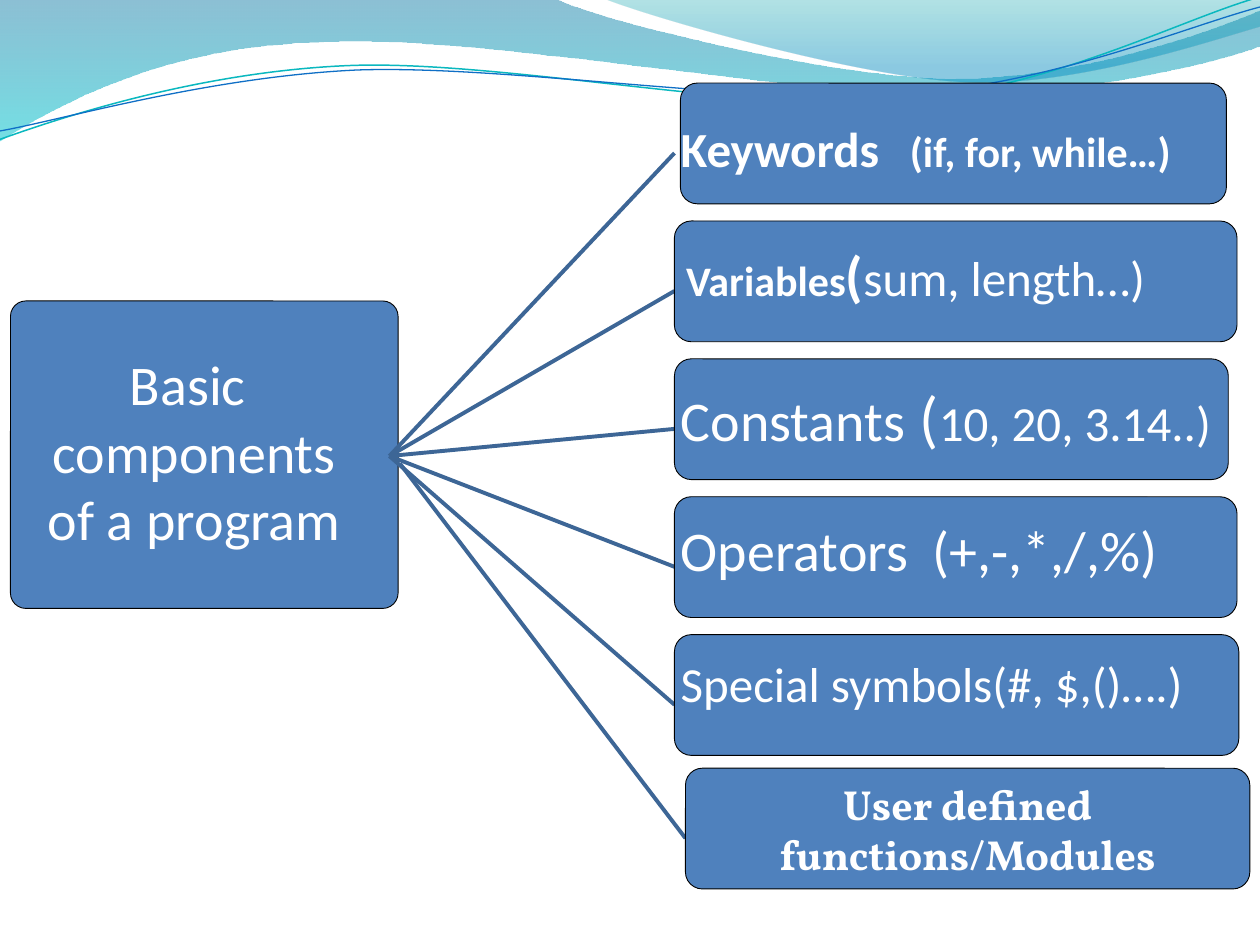
from lxml.etree import SubElement
from pptx import Presentation
from pptx.dml.color import RGBColor
from pptx.enum.shapes import MSO_CONNECTOR, MSO_SHAPE
from pptx.enum.text import MSO_ANCHOR, PP_ALIGN
from pptx.oxml.ns import qn
from pptx.util import Pt

WHITE = RGBColor(0xFF, 0xFF, 0xFF)
BLACK = RGBColor(0, 0, 0)
BLUE = RGBColor(0x4F, 0x81, 0xBD)
NAVY = RGBColor(0x3D, 0x66, 0x96)
SEA = RGBColor(0x00, 0x74, 0xA1)
AQUA = RGBColor(0x00, 0xC6, 0xCF)
TEAL = RGBColor(0x00, 0xA1, 0xA9)
SKY = RGBColor(0x00, 0x8B, 0xBF)
CYAN = RGBColor(0x0A, 0xB8, 0xBF)
ROYAL = RGBColor(0x0F, 0x6F, 0xC6)


class Board:
    font = "Calibri"

    def __init__(self, deck):
        self.slide = deck.slides.add_slide(deck.slide_layouts[6])
        self.shapes = self.slide.shapes

    def curve(self, start, parts, close=False):
        """Each part is (x, y) for a line or six numbers for a Bezier curve."""
        spots = [start] + [part[-2:] for part in parts]
        left = min(x for x, y in spots)
        top = min(y for x, y in spots)
        form = self.shapes.build_freeform(
            round(start[0] * 10), round(start[1] * 10), scale=Pt(1) / 10)
        form.add_line_segments(
            [(round(x * 10), round(y * 10)) for x, y in spots[1:]], close=close)
        shape = form.convert_to_shape()
        shape.shadow.inherit = False
        for node, part in zip(list(shape._element.iter(qn("a:lnTo"))), parts):
            if len(part) == 6:
                node.tag = qn("a:cubicBezTo")
                for old in list(node):
                    node.remove(old)
                for x, y in zip(part[::2], part[1::2]):
                    SubElement(node, qn("a:pt"), x=str(round((x - left) * 10)),
                               y=str(round((y - top) * 10)))
        return shape

    def wave(self, start, parts, stops):
        shape = self.curve(start, parts, close=True)
        shape.line.fill.background()
        fill = shape.fill
        fill.gradient()
        fill.gradient_angle = 270
        for stop, (place, color, alpha) in zip(fill.gradient_stops, stops):
            stop.position = place
            stop.color.rgb = color
        grad = shape._element.spPr.find(qn("a:gradFill"))
        for node, stop in zip(grad.iter(qn("a:srgbClr")), stops):
            SubElement(node, qn("a:alpha"), val=str(stop[2] * 1000))

    def stroke(self, start, parts, color, width):
        shape = self.curve(start, parts)
        shape.fill.background()
        shape.line.color.rgb = color
        shape.line.width = Pt(width)

    def box(self, left, top, width, height, bend):
        shape = self.shapes.add_shape(MSO_SHAPE.ROUNDED_RECTANGLE, Pt(left),
                                      Pt(top), Pt(width), Pt(height))
        shape.adjustments[0] = bend
        shape.shadow.inherit = False
        shape.fill.solid()
        shape.fill.fore_color.rgb = BLUE
        shape.line.color.rgb = BLACK
        shape.line.width = Pt(0.5)
        return shape

    def link(self, x1, y1, x2, y2):
        line = self.shapes.add_connector(MSO_CONNECTOR.STRAIGHT, Pt(x1), Pt(y1),
                                         Pt(x2), Pt(y2))
        line.line.color.rgb = NAVY
        line.line.width = Pt(2.25)
        SubElement(line._element.spPr, qn("a:effectLst"))

    def text(self, frame, lines, align, font=None):
        """Each line is a list of (text, size, bold) runs."""
        for i, runs in enumerate(lines):
            para = frame.paragraphs[0] if i == 0 else frame.add_paragraph()
            para.alignment = align
            for words, size, bold in runs:
                run = para.add_run()
                run.text = words
                run.font.name = font or self.font
                run.font.size = Pt(size)
                run.font.bold = bold
                run.font.color.rgb = WHITE

    def label(self, left, top, width, height, lines, align=PP_ALIGN.LEFT, tab=None):
        frame = self.shapes.add_textbox(Pt(left), Pt(top), Pt(width),
                                        Pt(height)).text_frame
        frame.margin_left = frame.margin_right = 0
        frame.margin_top = frame.margin_bottom = 0
        frame.word_wrap = False
        self.text(frame, lines, align)
        if tab:
            props = frame.paragraphs[0]._p.get_or_add_pPr()
            tabs = SubElement(props, qn("a:tabLst"))
            SubElement(tabs, qn("a:tab"), pos=str(Pt(tab)), algn="l")


deck = Presentation()
deck.slide_width, deck.slide_height = Pt(720), Pt(540)
board = Board(deck)

# Waves along the top edge
board.wave((0, 0), [
    (317, -0.7), (343, 12, 478, 45, 546, 45), (614, 45, 690, 19, 720, 6),
    (721, 26), (708, 32, 626, 55, 537, 54), (447, 54, 275, 20, 185, 24),
    (93, 26, 33, 60, -1, 81)], [(0, SEA, 45), (1, AQUA, 55)])
board.wave((345, -1), [
    (366, 8, 491, 45, 554, 47), (616, 49, 692, 23, 720, 15), (720, 0)],
    [(0, TEAL, 30), (0.8, SKY, 45)])
board.stroke((-1, 80), [
    (35, 67, 114, 41, 199, 37.5), (284, 34, 427, 64, 513, 58),
    (600, 51, 675, 11, 719, -1.5)], CYAN, 0.85)
board.stroke((-1, 75), [
    (34, 69, 118, 44, 204, 40), (290, 37, 429, 60, 516, 54),
    (602, 48, 678, 15, 720, 4)], ROYAL, 0.75)

# Root box
board.box(6, 172, 221.5, 175.7, 0.05)
board.label(24, 200, 174, 117, [[(words, 32, False)] for words in
            ("Basic ", "components", "of a program")], PP_ALIGN.CENTER)

# Branches: box left, box width, text left, text drop, text width, text height, tab, runs
TOP, STEP, HIGH = 47.5, 78.8, 69
BRANCHES = [
    (388.8, 312, 389, 20, 282, 34, 131,
     [("Keywords", 28, True), ("\t(if, for, while…)", 24, True)]),
    (385.4, 321.5, 392, 11, 265, 39, None,
     [("Variables", 24, True), ("(", 32, True), ("sum, length…)", 28, False)]),
    (385.4, 316.5, 389, 11, 307, 44, None,
     [("Constants", 32, False), (" (", 36, False), ("10, 20, 3.14..)", 28, False)]),
    (385.4, 321.5, 389, 10.5, 276, 39, 144,
     [("Operators", 32, False), ("\t(+,-,*,/,%)", 32, False)]),
    (385.4, 322.5, 389, 11, 290, 34, None,
     [("Special symbols(#, $,()….)", 28, False)]),
]
for i, (left, width, start, drop, wide, high, tab, runs) in enumerate(BRANCHES):
    top = TOP + i * STEP
    board.link(222.5, 260.6, 385.4, top + HIGH / 2 + 5.5)
    board.box(left, top, width, HIGH, 0.14)
    board.label(start, top + drop, wide, high, [runs], tab=tab)

# Last branch, set a little to the right
board.link(228.6, 265, 391.7, 479)
last = board.box(391.7, 439, 322.5, HIGH, 0.14).text_frame
last.word_wrap = True
last.vertical_anchor = MSO_ANCHOR.MIDDLE
board.text(last, [[("User defined functions/Modules", 24, True)]],
           PP_ALIGN.CENTER, "Vollkorn")

deck.save("out.pptx")
